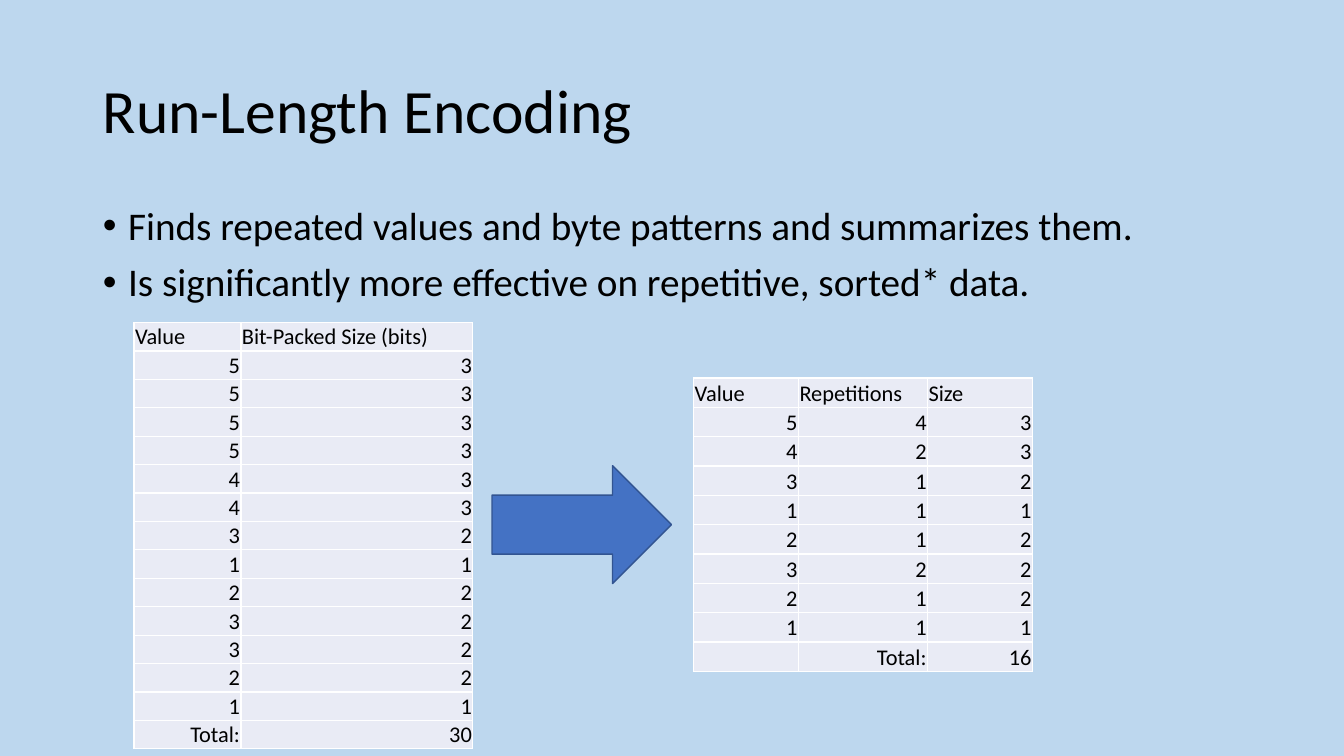
from dataclasses import dataclass
from itertools import groupby

from lxml.etree import SubElement
from pptx import Presentation
from pptx.dml.color import RGBColor as RGB
from pptx.enum.shapes import MSO_SHAPE as SHAPE
from pptx.enum.text import MSO_ANCHOR as ANCHOR, MSO_AUTO_SIZE as FIT, PP_ALIGN as ALIGN
from pptx.oxml.ns import qn
from pptx.util import Inches, Pt


@dataclass(frozen=True)
class Theme:
    font: str = "Calibri"
    title: int = 44
    body: int = 28
    cell: int = 16
    back: str = "BDD7EE"
    ink: str = "000000"
    band: str = "E9EBF5"
    rule: str = "FFFFFF"
    arrow: str = "4472C4"
    edge: str = "325491"


THEME = Theme()
VALUES = [5, 5, 5, 5, 4, 4, 3, 1, 2, 3, 3, 2, 1]


def place(shape, *box):
    shape.left, shape.top, shape.width, shape.height = map(Inches, box)


def style(para, size, align=ALIGN.LEFT):
    para.alignment = align
    para.font.name = THEME.font
    para.font.size = Pt(size)
    para.font.color.rgb = RGB.from_string(THEME.ink)


def add_title(slide, text):
    title = slide.shapes.title
    place(title, 0.92, 0.4, 11.5, 1.45)
    frame = title.text_frame
    frame.text = text
    frame.auto_size = FIT.NONE
    frame.vertical_anchor = ANCHOR.MIDDLE
    para = frame.paragraphs[0]
    style(para, THEME.title)
    para.line_spacing = 0.9


def add_list(slide, lines):
    body = slide.placeholders[1]
    place(body, 0.92, 2, 11.5, 4.76)
    frame = body.text_frame
    frame.text = "\n".join(lines)
    frame.auto_size = FIT.NONE
    for para in frame.paragraphs:
        style(para, THEME.body)
        para.line_spacing = 0.9
        para.space_before = Pt(10)
        # Hanging indent; the bullet comes from the template
        props = para._p.get_or_add_pPr()
        props.set("marL", str(Inches(0.25)))
        props.set("indent", str(-Inches(0.25)))


def add_rules(cell):
    props = cell._tc.get_or_add_tcPr()
    for spot, side in enumerate(("lnL", "lnR", "lnT", "lnB")):
        line = props.makeelement(qn(f"a:{side}"), {"w": str(Pt(1))})
        fill = SubElement(line, qn("a:solidFill"))
        SubElement(fill, qn("a:srgbClr"), val=THEME.rule)
        props.insert(spot, line)


def fill_cell(cell, text, align):
    cell.margin_left = cell.margin_right = cell.margin_top = Inches(0.01)
    cell.margin_bottom = 0
    cell.vertical_anchor = ANCHOR.BOTTOM
    cell.fill.solid()
    cell.fill.fore_color.rgb = RGB.from_string(THEME.band)
    cell.text = str(text)
    style(cell.text_frame.paragraphs[0], THEME.cell, align)
    add_rules(cell)


def add_grid(slide, box, widths, rows):
    frame = slide.shapes.add_table(len(rows), len(widths), *map(Inches, box))
    table = frame.table
    for col, width in zip(table.columns, widths):
        col.width = Inches(width)
    for r, row in enumerate(rows):
        for c, text in enumerate(row):
            fill_cell(table.cell(r, c), text, ALIGN.RIGHT if r else ALIGN.LEFT)


def add_arrow(slide, *box):
    arrow = slide.shapes.add_shape(SHAPE.RIGHT_ARROW, *map(Inches, box))
    arrow.shadow.inherit = False
    arrow.fill.solid()
    arrow.fill.fore_color.rgb = RGB.from_string(THEME.arrow)
    arrow.line.color.rgb = RGB.from_string(THEME.edge)
    arrow.line.width = Pt(1)


def main():
    deck = Presentation()
    deck.slide_width, deck.slide_height = Inches(13.33), Inches(7.5)
    slide = deck.slides.add_slide(deck.slide_layouts[1])
    slide.background.fill.solid()
    slide.background.fill.fore_color.rgb = RGB.from_string(THEME.back)

    add_title(slide, "Run-Length Encoding")
    add_list(slide, [
        "Finds repeated values and byte patterns and summarizes them.",
        "Is significantly more effective on repetitive, sorted* data.",
    ])

    # Every value with its size in bits
    packed = [(v, v.bit_length()) for v in VALUES]
    total = sum(size for _, size in packed)
    add_grid(slide, (1.33, 3.2, 3.36, 4.16), (1.06, 2.3),
             [("Value", "Bit-Packed Size (bits)"), *packed, ("Total:", total)])

    # One row for each run of equal values
    runs = [(v, len(list(run)), v.bit_length()) for v, run in groupby(VALUES)]
    total = sum(size for _, _, size in runs)
    add_grid(slide, (6.88, 3.75, 3.36, 2.91), (1.04, 1.28, 1.04),
             [("Value", "Repetitions", "Size"), *runs, ("", "Total:", total)])

    add_arrow(slide, 4.88, 4.62, 1.78, 1.17)
    deck.save("out.pptx")


if __name__ == "__main__":
    main()
